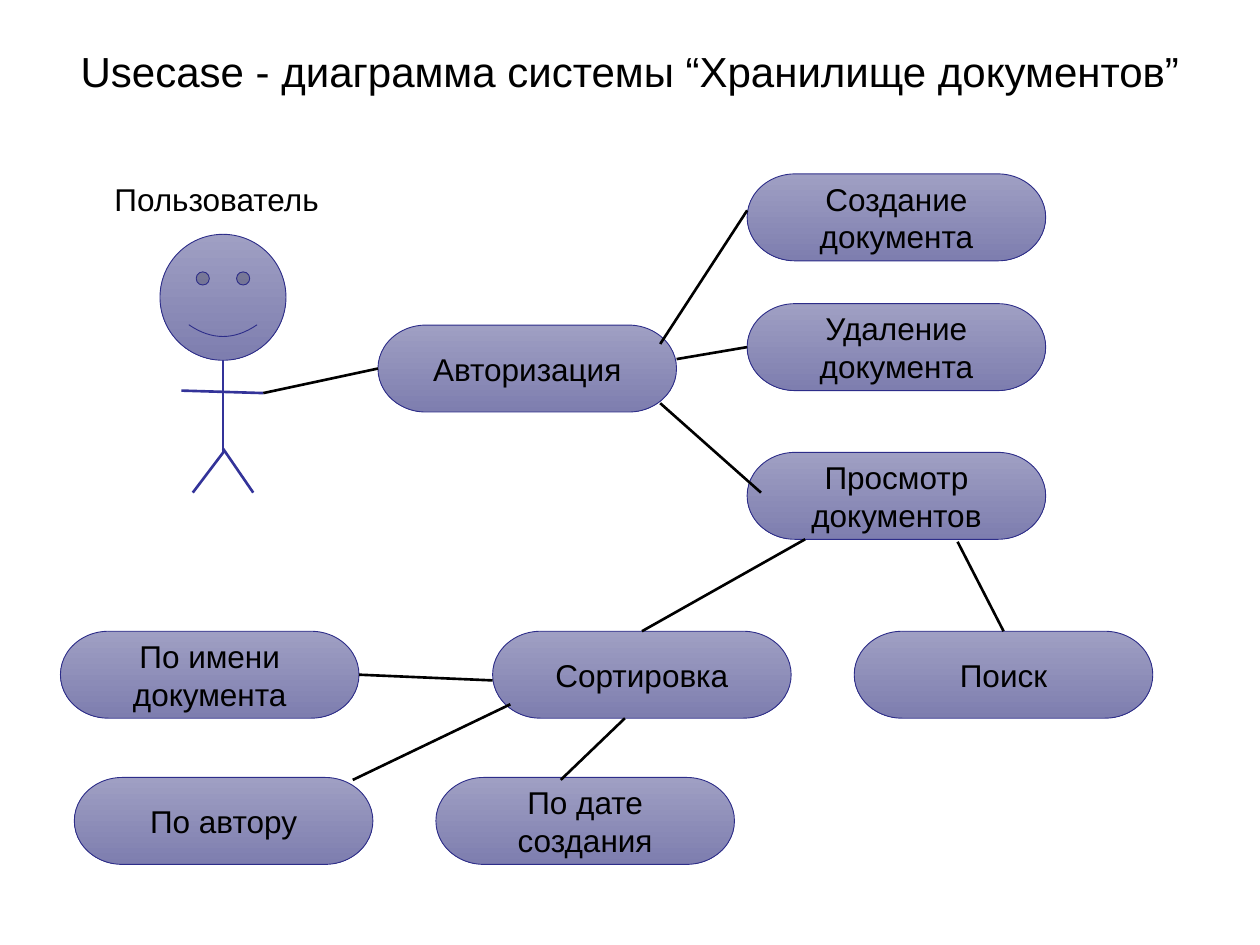
from lxml import etree
from pptx import Presentation
from pptx import util as u
from pptx.dml.color import RGBColor
from pptx.enum import shapes, text
from pptx.oxml import ns

deck = Presentation()
deck.slide_width, deck.slide_height = u.Inches(10), u.Inches(7.5)
page = deck.slides.add_slide(deck.slide_layouts[6])

# The slide is a grid of 100 columns by 75 rows of square cells.
CELL = deck.slide_width / 100
BOX_WIDTH, BOX_HEIGHT = 23.7, 6.9
TOP, LEFT, BOTTOM, RIGHT = range(4)
BLACK, INDIGO, OUTLINE = "000000", "333399", "2D2D89"
GRADIENT = ("9F9FC3", "7E7EAF")


def color(value):
    return RGBColor.from_string(value)


def grid(*cells):
    """Turn grid columns and rows into slide lengths."""
    return [round(cell * CELL) for cell in cells]


# Title and actor name
for words, place, size, align, anchor, wrap in [
    ("Usecase - диаграмма системы “Хранилище документов”", (5, 3, 90, 5.2),
     24, text.PP_ALIGN.CENTER, text.MSO_ANCHOR.MIDDLE, True),
    ("Пользователь", (8.1, 13.8, 18.5, 4),
     18, text.PP_ALIGN.LEFT, text.MSO_ANCHOR.TOP, False),
]:
    frame = page.shapes.add_textbox(*grid(*place)).text_frame
    frame.word_wrap = wrap
    frame.vertical_anchor = anchor
    para = frame.paragraphs[0]
    para.alignment = align
    span = para.add_run()
    span.text = words
    span.font.name, span.font.size = "Arial", u.Pt(size)
    span.font.color.rgb = color(BLACK)

# Use cases: left column and top row of each box
use_cases = {
    "Создание документа": (59.3, 13.8),
    "Удаление документа": (59.3, 24.1),
    "Просмотр документов": (59.3, 35.9),
    "Авторизация": (30, 25.8),
    "По имени документа": (4.8, 50.1),
    "Сортировка": (39.1, 50.1),
    "Поиск": (67.8, 50.1),
    "По автору": (5.9, 61.7),
    "По дате создания": (34.6, 61.7),
}
boxes = {
    name: page.shapes.add_shape(shapes.MSO_SHAPE.FLOWCHART_TERMINATOR,
                                *grid(*corner, BOX_WIDTH, BOX_HEIGHT))
    for name, corner in use_cases.items()
}
for name, box in boxes.items():
    frame = box.text_frame
    frame.word_wrap = True
    frame.vertical_anchor = text.MSO_ANCHOR.MIDDLE
    para = frame.paragraphs[0]
    para.alignment = text.PP_ALIGN.CENTER
    span = para.add_run()
    span.text = name
    span.font.name, span.font.size = "Arial", u.Pt(18)
    span.font.color.rgb = color(BLACK)

# Actor's head, filled like the use cases
head = page.shapes.add_shape(shapes.MSO_SHAPE.SMILEY_FACE, *grid(12.7, 18.6, 10, 10))
head.adjustments[0] = 0.047
for shape in [head, *boxes.values()]:
    shape.shadow.inherit = False
    shape.fill.gradient()
    shape.fill.gradient_angle = 270
    for stop, shade in zip(shape.fill.gradient_stops, GRADIENT):
        stop.color.rgb = color(shade)
    shape.line.color.rgb = color(OUTLINE)
    shape.line.width = u.Pt(0.5)

# Actor's body, arms and legs, then the links; a link may end at a box side
lines = [
    (INDIGO, (17.7, 28.6), (17.7, 35.9), None),
    (INDIGO, (14.4, 31), (20.9, 31.2), None),
    (INDIGO, (17.8, 35.8), (15.3, 39.1), None),
    (INDIGO, (17.7, 35.6), (20.1, 39.1), None),
    (BLACK, (20.9, 31.2), (30, 29.3), ("Авторизация", LEFT)),
    (BLACK, (52.4, 27.3), (59.3, 16.7), None),
    (BLACK, (53.7, 28.5), (59.3, 27.5), ("Удаление документа", LEFT)),
    (BLACK, (52.4, 32), (60.4, 39.1), None),
    (BLACK, (63.9, 42.8), (51, 50.1), ("Сортировка", TOP)),
    (BLACK, (76, 43), (79.6, 50.1), ("Поиск", TOP)),
    (BLACK, (28, 61.9), (40.5, 55.9), None),
    (BLACK, (39.1, 54), (28.5, 53.6), ("По имени документа", RIGHT)),
    (BLACK, (44.5, 61.9), (49.6, 57), None),
]
for ink, start, end, target in lines:
    link = page.shapes.add_connector(shapes.MSO_CONNECTOR.STRAIGHT, *grid(*start, *end))
    if target:
        name, side = target
        link.end_connect(boxes[name], side)
    link.line.color.rgb = color(ink)
    link.line.width = u.Pt(1.5)
    etree.SubElement(link._element.spPr, ns.qn("a:effectLst"))

deck.save("out.pptx")
